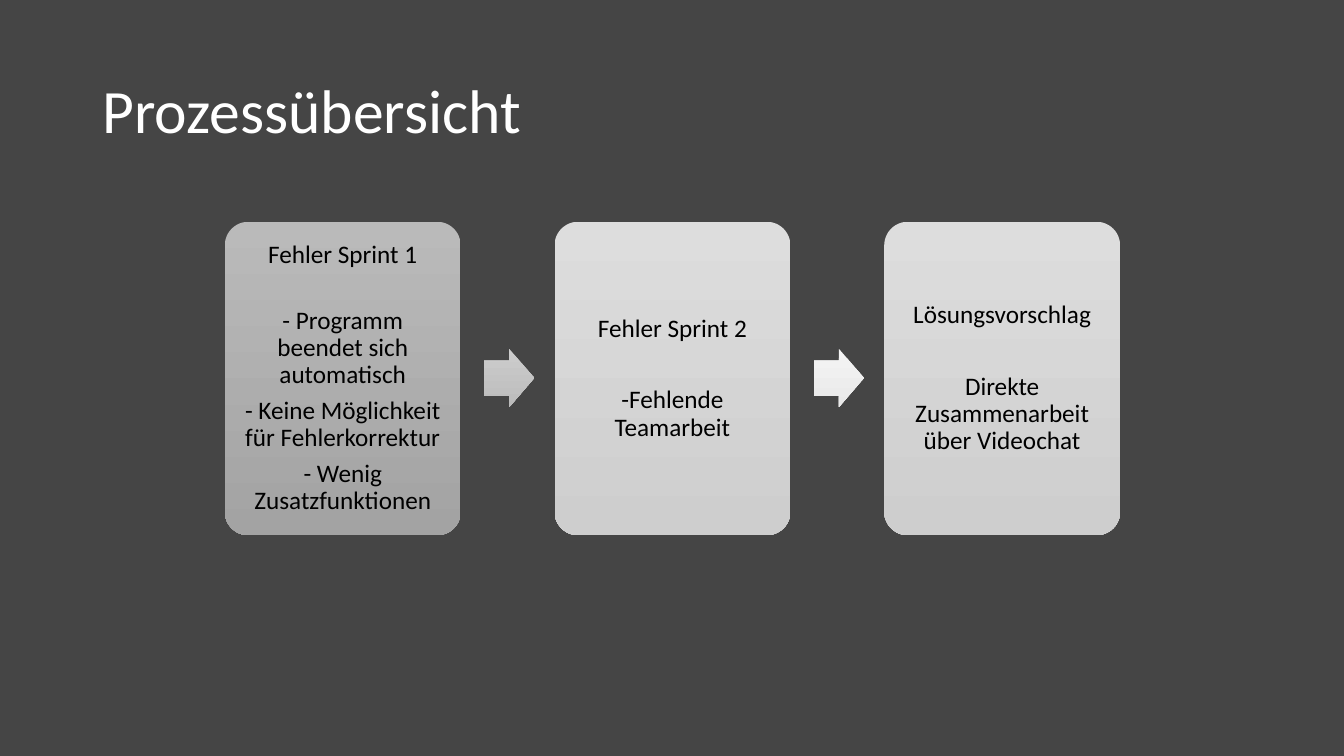
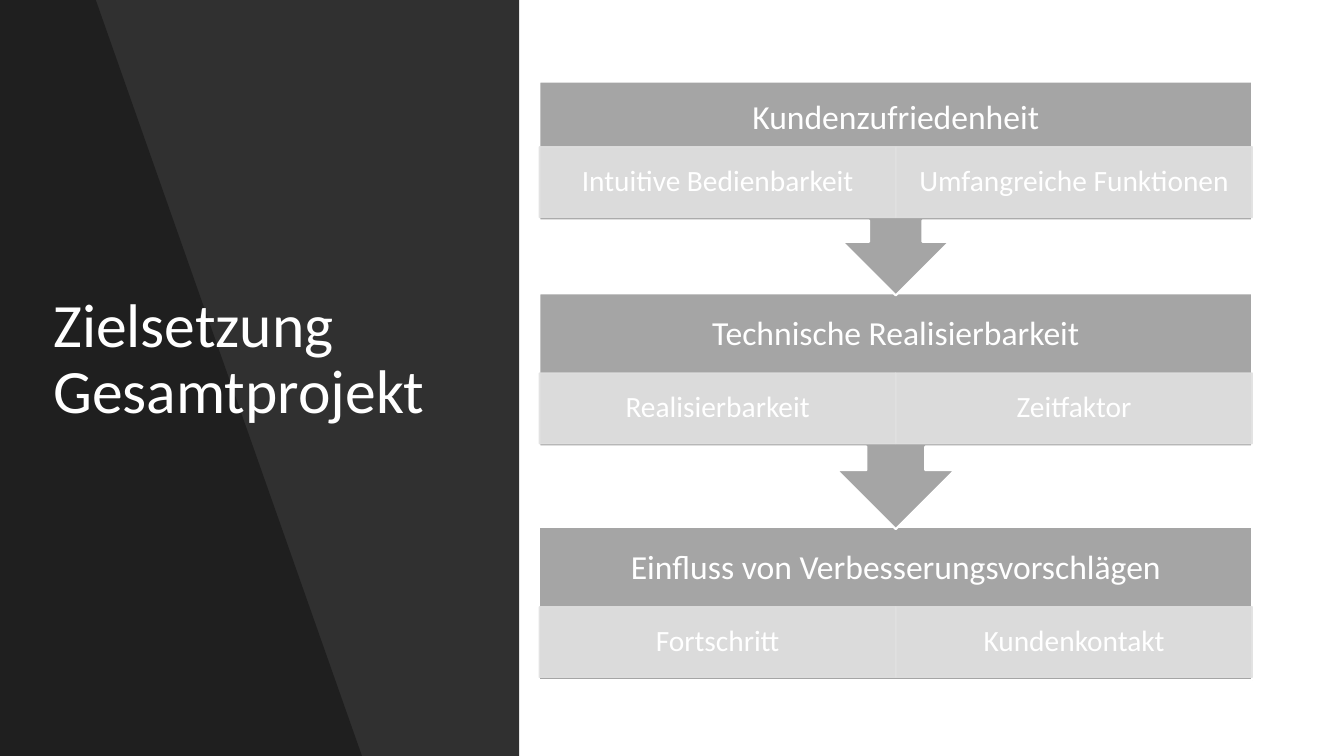
from pptx import Presentation
from pptx import util as u
from pptx.dml import color as dml_color
from pptx.enum import shapes, text
from pptx.oxml import ns
from lxml import etree

WIDTH, HEIGHT = 13.33, 7.5
FONT = "Calibri"
WHITE, BLACK, SLATE = "FFFFFF", "000000", "454545"
GRAY, LIGHT_GRAY = "A5A5A5", "E1E1E1"
SHAPE = shapes.MSO_SHAPE

TITLE = {"size": 44, "color": WHITE, "align": text.PP_ALIGN.LEFT, "after": 0}
CARD = {"size": 18, "color": BLACK, "align": text.PP_ALIGN.CENTER, "after": 6.3}
STEP = {"size": 24, "color": WHITE, "align": text.PP_ALIGN.CENTER, "after": 0}
DETAIL = {**STEP, "size": 21}

# Lines, gap after the heading in points, gradient of the card
CARDS = [
    (["Fehler Sprint 1", "- Programm beendet sich automatisch",
      "- Keine Möglichkeit für Fehlerkorrektur", "- Wenig Zusatzfunktionen"],
     27.5, ("BABABA", "A3A3A3")),
    (["Fehler Sprint 2", "-Fehlende Teamarbeit"], 31.8, ("DDDDDD", "CECECE")),
    (["Lösungsvorschlag", "Direkte Zusammenarbeit über Videochat"],
     31.8, ("DDDDDD", "CECECE")),
]
CARD_ARROWS = [("CDCDCD", "BBBBBB"), ("F4F4F4", "E9E9E9")]

# Heading, details, top, height, heading height, share of the height that is body
STEPS = [
    ("Kundenzufriedenheit",
     ["Intuitive Bedienbarkeit", "Umfangreiche Funktionen"], 0.81, 2.12, 0.74, 0.65),
    ("Technische Realisierbarkeit",
     ["Realisierbarkeit", "Zeitfaktor"], 2.91, 2.34, 0.82, 0.65),
    ("Einfluss von Verbesserungsvorschlägen",
     ["Fortschritt", "Kundenkontakt"], 5.23, 1.52, 0.82, 1),
]


def rgb(value):
    return dml_color.RGBColor.from_string(value)


def set_attributes(target, values):
    for name, value in values.items():
        setattr(target, name, value)


def add_slide(presentation, background):
    slide = presentation.slides.add_slide(presentation.slide_layouts[6])
    slide.background.fill.solid()
    slide.background.fill.fore_color.rgb = rgb(background)
    return slide


def write(shape, lines, style, insets):
    """Fill a shape with paragraphs; insets are left, top, right, bottom."""
    frame = shape.text_frame
    left, top, right, bottom = map(u.Inches, insets)
    set_attributes(frame, {
        "word_wrap": True, "vertical_anchor": text.MSO_ANCHOR.MIDDLE,
        "margin_left": left, "margin_top": top,
        "margin_right": right, "margin_bottom": bottom,
    })
    for index, line in enumerate(lines):
        paragraph = frame.add_paragraph() if index else frame.paragraphs[0]
        set_attributes(paragraph, {
            "text": line, "alignment": style["align"], "line_spacing": 0.9,
            "space_after": u.Pt(style["after"]),
        })
        set_attributes(paragraph.font, {"name": FONT, "size": u.Pt(style["size"])})
        paragraph.font.color.rgb = rgb(style["color"])


def paint(shape, fill, line=None, line_width=1, opacity=100):
    """Set fill, line and opacity; a pair of fills is a gradient from top to bottom."""
    shape.shadow.inherit = False
    if isinstance(fill, tuple):
        shape.fill.gradient()
        shape.fill.gradient_angle = 270
        for stop, value in zip(shape.fill.gradient_stops, fill):
            stop.color.rgb = rgb(value)
    else:
        shape.fill.solid()
        shape.fill.fore_color.rgb = rgb(fill)
    if line:
        shape.line.color.rgb = rgb(line)
        shape.line.width = u.Pt(line_width)
    else:
        shape.line.fill.background()
    if opacity < 100:
        for color in shape.element.spPr.iter(ns.qn("a:srgbClr")):
            etree.SubElement(color, ns.qn("a:alpha")).set("val", str(opacity * 1000))


def add_shape(slide, kind, box, fill, **format_values):
    shape = slide.shapes.add_shape(kind, *map(u.Inches, box))
    paint(shape, fill, **format_values)
    return shape


def add_title(slide, title, box):
    write(slide.shapes.add_textbox(*map(u.Inches, box)), [title], TITLE,
          (0.1, 0.05, 0.1, 0.05))


def add_card(slide, left, lines, heading_gap, gradient):
    card = add_shape(slide, SHAPE.ROUNDED_RECTANGLE, (left, 2.2, 2.34, 3.11), gradient)
    card.adjustments[0] = 0.1
    write(card, lines, CARD, (0.07,) * 4)
    card.text_frame.paragraphs[0].space_after = u.Pt(heading_gap)


def add_card_arrow(slide, left, gradient):
    arrow = add_shape(slide, SHAPE.RIGHT_ARROW, (left, 3.46, 0.5, 0.58), gradient)
    arrow.adjustments[0] = 0.6


def add_step(slide, heading, details, top, height, heading_height, body_share):
    """Add a heading block, with an arrow below its body if that is shorter, and its details."""
    left, width, detail_height = 5.35, 7.07, 0.7
    kind = SHAPE.DOWN_ARROW_CALLOUT if body_share < 1 else SHAPE.RECTANGLE
    block = add_shape(slide, kind, (left, top, width, height), GRAY,
                      line=WHITE, line_width=1.5)
    body_height = height * body_share
    write(block, [heading], STEP, (0.19, 0, 0.19, body_height - heading_height))
    detail_top = top + body_height - detail_height - 0.03
    detail_width = width / len(details)
    for index, detail in enumerate(details):
        box = (left + index * detail_width, detail_top, detail_width, detail_height)
        cell = add_shape(slide, SHAPE.RECTANGLE, box, LIGHT_GRAY,
                         line=LIGHT_GRAY, opacity=90)
        write(cell, [detail], DETAIL, (0.16, 0.03, 0.16, 0.03))


def add_wedge(slide):
    points = [(u.Inches(x), u.Inches(y))
              for x, y in [(0, 0), (0.95, 0), (3.59, HEIGHT), (0, HEIGHT)]]
    builder = slide.shapes.build_freeform(*points[0])
    builder.add_line_segments(points[1:], close=True)
    paint(builder.convert_to_shape(), BLACK, opacity=35)


def build_process_slide(presentation):
    slide = add_slide(presentation, SLATE)
    add_title(slide, "Prozessübersicht", (0.92, 0.4, 11.5, 1.45))
    first_left, pitch = 2.23, 3.27
    for index, card in enumerate(CARDS):
        add_card(slide, first_left + index * pitch, *card)
    for index, gradient in enumerate(CARD_ARROWS):
        add_card_arrow(slide, 4.8 + index * pitch, gradient)


def build_goals_slide(presentation):
    slide = add_slide(presentation, BLACK)
    add_shape(slide, SHAPE.RECTANGLE, (0, 0, WIDTH, HEIGHT), WHITE)
    add_shape(slide, SHAPE.RECTANGLE, (0, 0, 5.15, HEIGHT), BLACK, opacity=81)
    add_wedge(slide)
    add_title(slide, "Zielsetzung Gesamtprojekt", (0.43, 0.7, 4.04, 5.75))
    for step in reversed(STEPS):
        add_step(slide, *step)


def main():
    presentation = Presentation()
    set_attributes(presentation, {"slide_width": u.Inches(WIDTH),
                                  "slide_height": u.Inches(HEIGHT)})
    build_process_slide(presentation)
    build_goals_slide(presentation)
    presentation.save("out.pptx")


if __name__ == "__main__":
    main()
